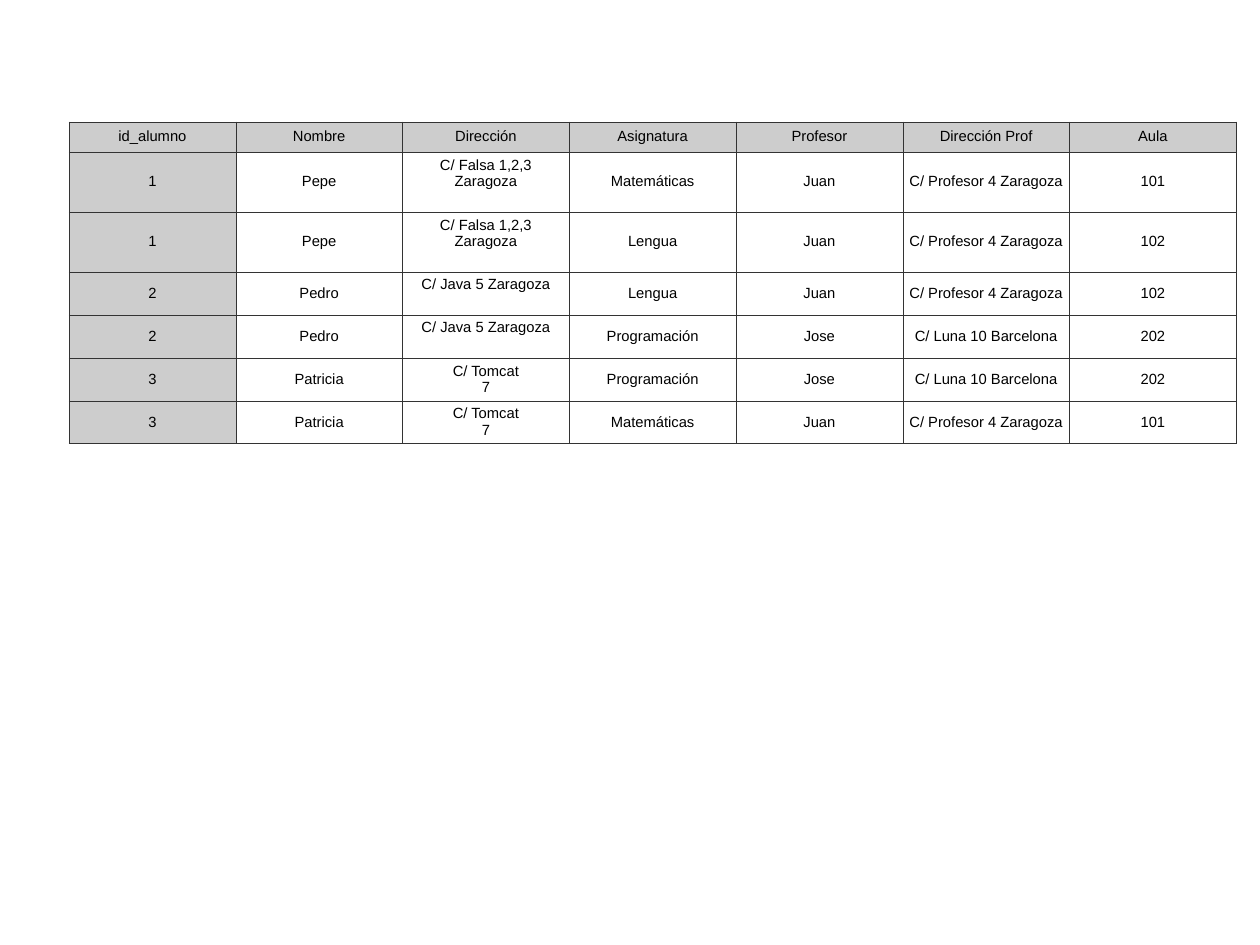
from lxml.etree import SubElement
from pptx import Presentation
from pptx.dml.color import RGBColor
from pptx.enum.text import MSO_ANCHOR, PP_ALIGN
from pptx.oxml.ns import qn
from pptx.util import Cm, Pt

HEADERS = ["id_alumno", "Nombre", "Dirección", "Asignatura",
           "Profesor", "Dirección Prof", "Aula"]
ENROLMENTS = [
    ["1", "Pepe", "C/ Falsa 1,2,3 Zaragoza", "Matemáticas",
     "Juan", "C/ Profesor 4 Zaragoza", "101"],
    ["1", "Pepe", "C/ Falsa 1,2,3 Zaragoza", "Lengua",
     "Juan", "C/ Profesor 4 Zaragoza", "102"],
    ["2", "Pedro", "C/ Java 5 Zaragoza", "Lengua",
     "Juan", "C/ Profesor 4 Zaragoza", "102"],
    ["2", "Pedro", "C/ Java 5 Zaragoza", "Programación",
     "Jose", "C/ Luna 10 Barcelona", "202"],
    ["3", "Patricia", "C/ Tomcat\n7", "Programación",
     "Jose", "C/ Luna 10 Barcelona", "202"],
    ["3", "Patricia", "C/ Tomcat\n7", "Matemáticas",
     "Juan", "C/ Profesor 4 Zaragoza", "101"],
]
ROW_HEIGHTS = [0.86, 1.72, 1.72, 1.23, 1.23, 1.23, 1.23]
COLUMN_WIDTH = 4.78
ADDRESS_COLUMN = 2


def colour(value):
    return RGBColor.from_string(value)


class TableSlide:
    font_name, font_size, text_colour = "Arial", 12, "000000"
    key_fill, plain_fill = "CDCDCD", "FFFFFF"
    border_colour, border_width = "333333", 0.11
    side_margin, end_margin, line_height = 0.15, 0.13, 0.49

    def __init__(self, slide):
        self.slide = slide

    def add_table(self, left, top, rows, heights, column_width):
        count = len(rows[0])
        shape = self.slide.shapes.add_table(
            len(rows), count, Cm(left), Cm(top),
            Cm(column_width * count), Cm(sum(heights)))
        table = shape.table
        table.first_row = table.horz_banding = False
        for column in table.columns:
            column.width = Cm(column_width)
        for i, (texts, height) in enumerate(zip(rows, heights)):
            table.rows[i].height = Cm(height)
            for j, text in enumerate(texts):
                is_key = i == 0 or j == 0
                self.format_cell(table.cell(i, j), text, is_key)
        return table

    def format_cell(self, cell, text, is_key):
        cell.text = text
        cell.vertical_anchor = MSO_ANCHOR.MIDDLE
        cell.margin_left = cell.margin_right = Cm(self.side_margin)
        cell.margin_top = cell.margin_bottom = Cm(self.end_margin)
        for paragraph in cell.text_frame.paragraphs:
            paragraph.alignment = PP_ALIGN.CENTER
            paragraph.font.name = self.font_name
            paragraph.font.size = Pt(self.font_size)
            paragraph.font.color.rgb = colour(self.text_colour)
        self.add_borders(cell)
        cell.fill.solid()
        cell.fill.fore_color.rgb = colour(
            self.key_fill if is_key else self.plain_fill)

    def add_borders(self, cell):
        properties = cell._tc.get_or_add_tcPr()
        for side in ("a:lnL", "a:lnR", "a:lnT", "a:lnB"):
            line = SubElement(properties, qn(side),
                              w=str(Pt(self.border_width)))
            fill = SubElement(line, qn("a:solidFill"))
            SubElement(fill, qn("a:srgbClr"), val=self.border_colour)

    def raise_text(self, cell):
        """Leave one line free below the text."""
        cell.margin_bottom = Cm(self.end_margin + self.line_height)


def main():
    presentation = Presentation()
    presentation.slide_width = Cm(36.12)
    presentation.slide_height = Cm(27.08)
    blank_layout = presentation.slide_layouts[6]
    page = TableSlide(presentation.slides.add_slide(blank_layout))

    # Enrolment table
    table = page.add_table(1.98, 3.49, [HEADERS] + ENROLMENTS,
                           ROW_HEIGHTS, COLUMN_WIDTH)

    # One-paragraph addresses sit above the middle of their cells
    for i, enrolment in enumerate(ENROLMENTS, start=1):
        if "\n" not in enrolment[ADDRESS_COLUMN]:
            page.raise_text(table.cell(i, ADDRESS_COLUMN))

    presentation.save("out.pptx")


if __name__ == "__main__":
    main()
